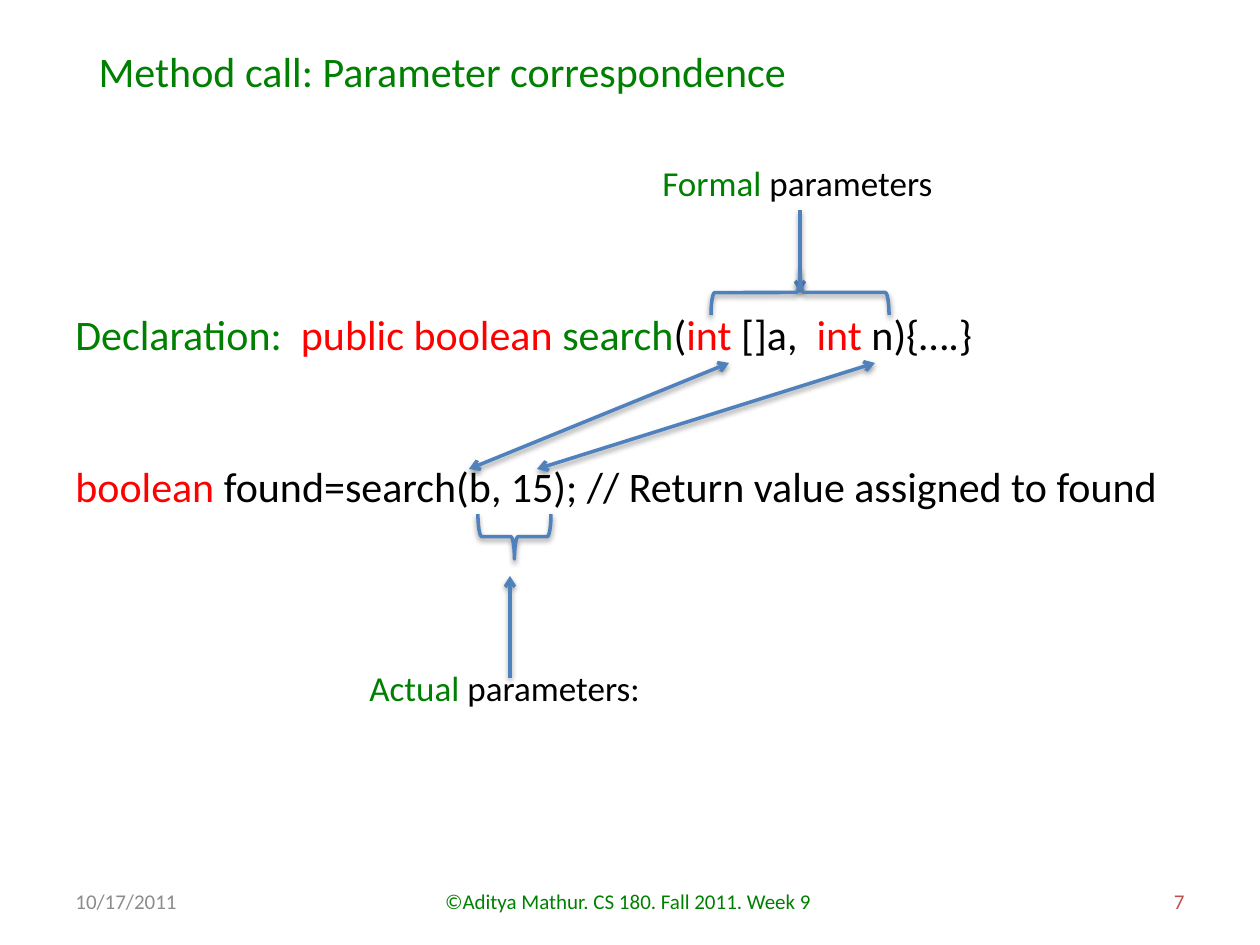
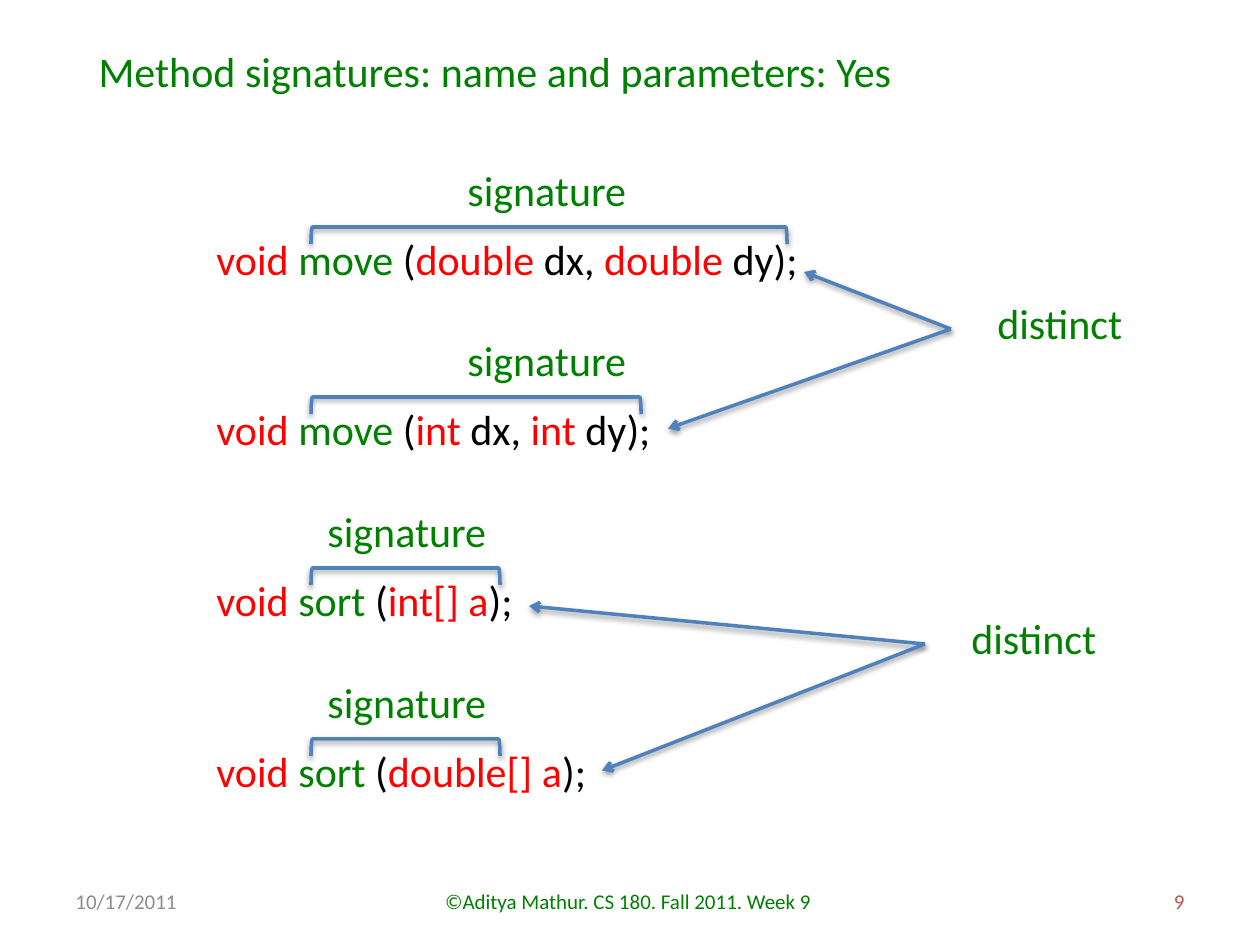
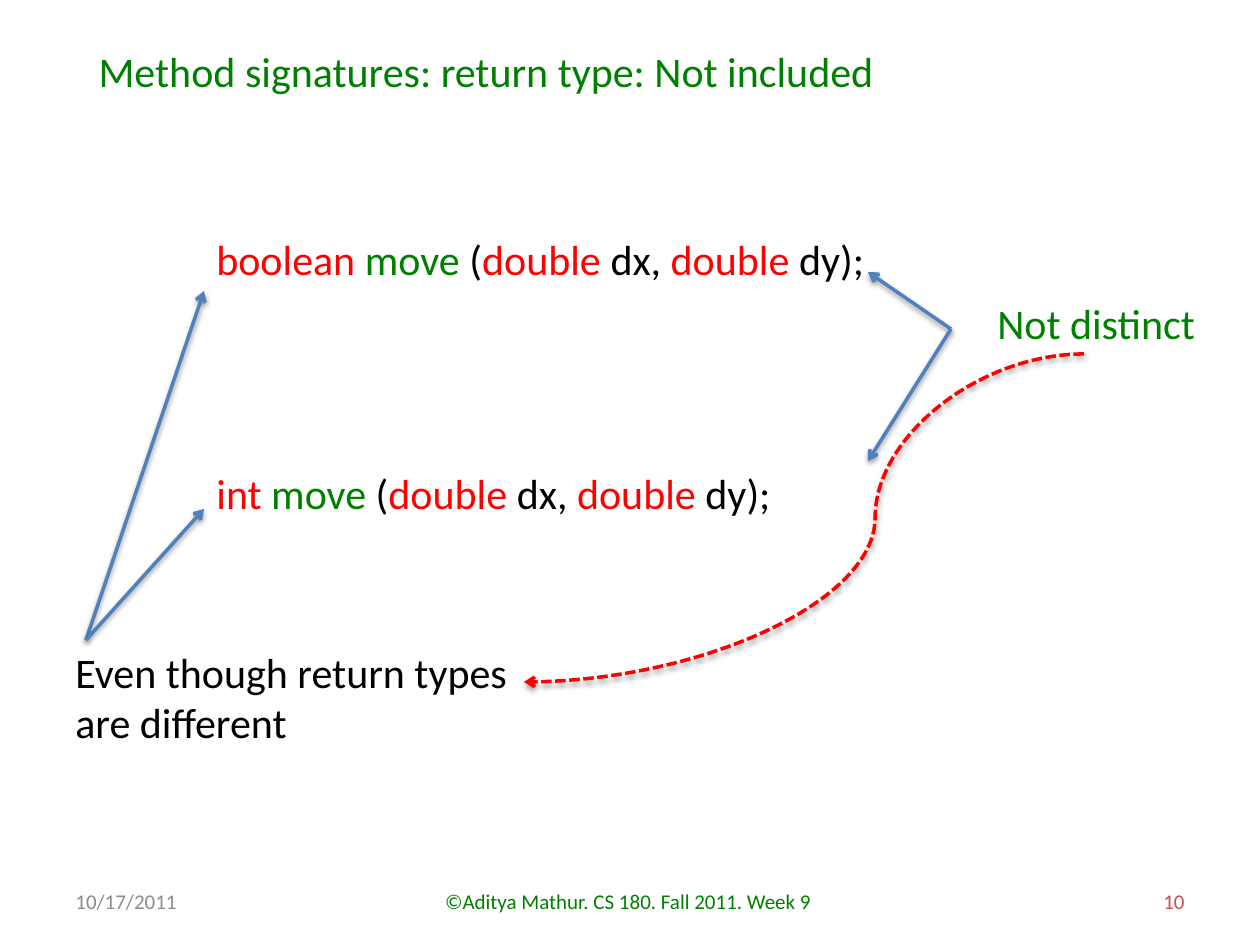
from lxml.etree import SubElement
from pptx import Presentation
from pptx.dml.color import RGBColor
from pptx.enum.dml import MSO_LINE
from pptx.enum.shapes import MSO_CONNECTOR, MSO_SHAPE
from pptx.enum.text import MSO_ANCHOR, MSO_AUTO_SIZE, PP_ALIGN
from pptx.oxml.ns import qn
from pptx.util import Emu, Pt

EMU_PER_PX = 914400 / 126
FONT = "Calibri"
GREEN, RED, BLACK = "008000", "FF0000", "000000"
GREY, BRICK, BLUE = "8C8C8C", "C0504D", "4F81BD"
TITLE_BOX = (86, 39, 901, 63)
FOOTER_TOP, FOOTER_HEIGHT = 876, 50
CODE_LEFT = 204
LINE_HEIGHT = 63
TOP, LEFT, BOTTOM, RIGHT = 0, 1, 2, 3


def px(length):
    """Turn pixels into EMU."""
    return Emu(round(length * EMU_PER_PX))


def rgb(color):
    """Turn a hex string into a colour."""
    return RGBColor.from_string(color)


def write(frame, paragraphs, size=24, align=PP_ALIGN.LEFT, anchor=MSO_ANCHOR.TOP,
          wrap=True, grow=True, gap=0):
    """Fill a text frame with paragraphs, each a list of (text, colour) runs."""
    frame.word_wrap = wrap
    frame.auto_size = MSO_AUTO_SIZE.SHAPE_TO_FIT_TEXT if grow else MSO_AUTO_SIZE.NONE
    frame.vertical_anchor = anchor
    for index, runs in enumerate(paragraphs):
        paragraph = frame.add_paragraph() if index else frame.paragraphs[0]
        paragraph.alignment = align
        if index and gap:
            paragraph.space_before = Pt(gap)
        for text, color in runs:
            run = paragraph.add_run()
            run.text = text
            run.font.name = FONT
            run.font.size = Pt(size)
            run.font.color.rgb = rgb(color)


def add_text(slide, box, *paragraphs, **style):
    """Add a text box at the given left, top, width and height."""
    label = slide.shapes.add_textbox(*map(px, box))
    write(label.text_frame, paragraphs, **style)
    return label


def add_shadow(shape):
    """Give a shape or connector the soft shadow below it."""
    effects = SubElement(shape._element.spPr, qn("a:effectLst"))
    shadow = SubElement(effects, qn("a:outerShdw"), blurRad="40000", dist="20000",
                        dir="5400000", rotWithShape="0")
    shade = SubElement(shadow, qn("a:srgbClr"), val=BLACK)
    SubElement(shade, qn("a:alpha"), val="38000")


def add_arrow(slide, start, end, kind=MSO_CONNECTOR.STRAIGHT, color=BLUE,
              dash=None, double=False, bend=None):
    """Add an arrow from start to end, with a head at both ends if double."""
    arrow = slide.shapes.add_connector(kind, *map(px, (*start, *end)))
    arrow.line.color.rgb = rgb(color)
    arrow.line.width = Pt(2)
    if dash:
        arrow.line.dash_style = dash
    outline = arrow.line._get_or_add_ln()
    if double:
        SubElement(outline, qn("a:headEnd"), type="arrow")
    SubElement(outline, qn("a:tailEnd"), type="arrow")
    if bend:
        guides = arrow._element.spPr.find(qn("a:prstGeom")).get_or_add_avLst()
        SubElement(guides, qn("a:gd"), name="adj1", fmla=f"val {bend}")
    add_shadow(arrow)
    return arrow


def add_bracket(slide, preset, box, rotation=90):
    """Lay a left bracket or brace on its side so that it covers the box."""
    left, top, width, height = box
    shift = (width - height) / 2
    bracket = slide.shapes.add_shape(preset, px(left + shift), px(top - shift),
                                     px(height), px(width))
    bracket.rotation = rotation
    bracket.fill.background()
    bracket.line.color.rgb = rgb(BLUE)
    bracket.line.width = Pt(2)
    add_shadow(bracket)


def move_call(returned, taken):
    """Return the runs of a move declaration."""
    return [(f"{returned} ", RED), ("move ", GREEN), ("(", BLACK), (f"{taken} ", RED),
            ("dx, ", BLACK), (f"{taken} ", RED), ("dy);", BLACK)]


def sort_call(taken):
    """Return the runs of a sort declaration."""
    return [("void ", RED), ("sort ", GREEN), ("(", BLACK), (f"{taken}[] a", RED), (");", BLACK)]


def add_slide(deck, title, number):
    """Add a slide with its title and footer."""
    slide = deck.slides.add_slide(deck.slide_layouts[5])
    heading = slide.shapes.title
    heading.left, heading.top, heading.width, heading.height = map(px, TITLE_BOX)
    write(heading.text_frame, [[(title, GREEN)]])
    footers = (
        (63, 294, "10/17/2011", GREY, PP_ALIGN.LEFT),
        (431, 399, "©Aditya Mathur. CS 180. Fall 2011. Week 9 ", GREEN, PP_ALIGN.CENTER),
        (903, 294, str(number), BRICK, PP_ALIGN.RIGHT),
    )
    for left, width, text, color, align in footers:
        add_text(slide, (left, FOOTER_TOP, width, FOOTER_HEIGHT), [(text, color)],
                 size=12, align=align, anchor=MSO_ANCHOR.MIDDLE, grow=False)
    return slide


def build_correspondence(deck):
    """Show how formal and actual parameters correspond."""
    slide = add_slide(deck, "Method call: Parameter correspondence", 7)
    declaration = [("Declaration:  ", GREEN), ("public boolean ", RED), ("search", GREEN),
                   ("(", BLACK), ("int", RED), (" []a,  ", BLACK), ("int", RED),
                   (" n){….}", BLACK)]
    call = [("boolean ", RED),
            ("found=search(b, 15); // Return value assigned to found", BLACK)]
    add_text(slide, (63, 302, 1123, 217), declaration, call, gap=58)
    formal = add_text(slide, (650, 155, 300, 55),
                      [("Formal", GREEN), (" parameters", BLACK)], size=20, wrap=False)
    add_arrow(slide, (800, 210), (800, 292)).begin_connect(formal, BOTTOM)
    add_text(slide, (357, 660, 401, 55),
             [("Actual ", GREEN), ("parameters:", BLACK)], size=20)
    add_arrow(slide, (510, 678), (510, 576))
    for actual_x, formal_x in ((469, 729), (537, 875)):
        add_arrow(slide, (actual_x, 469), (formal_x, 363), double=True)
    add_bracket(slide, MSO_SHAPE.LEFT_BRACE, (478, 514, 73, 45), rotation=270)
    add_bracket(slide, MSO_SHAPE.LEFT_BRACE, (711, 270, 178, 45))


def build_distinct_signatures(deck):
    """Show pairs of methods that differ in their parameters."""
    slide = add_slide(deck, "Method signatures: name and parameters: Yes", 9)
    methods = (
        (move_call("void", "double"), 625, 476, 455),
        (move_call("void", "int"), 464, 330, 455),
        (sort_call("int"), 325, 189, 315),
        (sort_call("double"), 398, 189, 315),
    )
    declarations = []
    for row, (code, code_width, signature_width, label_left) in enumerate(methods):
        top = 227 + 512 * row // 3
        declarations.append(add_text(slide, (CODE_LEFT, top, code_width, LINE_HEIGHT),
                                     code, wrap=False))
        add_bracket(slide, MSO_SHAPE.LEFT_BRACKET, (311, top, signature_width, 17))
        add_text(slide, (label_left, top - 69, 185, LINE_HEIGHT),
                 [("signature", GREEN)], wrap=False)
    verdicts = (
        ((951, 329), (804, 272), (668, 429), declarations[1]),
        ((925, 644), (529, 606), (602, 770), declarations[3]),
    )
    for (x, y), first, second, lower_method in verdicts:
        add_text(slide, (x + 34, y - 38, 152, LINE_HEIGHT), [("distinct", GREEN)], wrap=False)
        add_arrow(slide, (x, y), first)
        add_arrow(slide, (x, y), second).end_connect(lower_method, RIGHT)


def build_return_types(deck):
    """Show that the return type is not part of the signature."""
    slide = add_slide(deck, "Method signatures: return type: Not included", 10)
    for returned, top, width in (("boolean", 227, 679), ("int", 461, 585)):
        add_text(slide, (CODE_LEFT, top, width, LINE_HEIGHT),
                 move_call(returned, "double"), wrap=False)
    add_text(slide, (985, 291, 226, LINE_HEIGHT), [("Not distinct", GREEN)], wrap=False)
    add_text(slide, (63, 640, 461, 115), [("Even though return types", BLACK)],
             [("are different", BLACK)], wrap=False)
    for verdict_end in ((868, 272), (868, 461)):
        add_arrow(slide, (951, 329), verdict_end)
    for type_end in ((204, 291), (204, 509)):
        add_arrow(slide, (86, 640), type_end)
    add_arrow(slide, (1084, 354), (524, 682), kind=MSO_CONNECTOR.CURVE, color=RED,
              dash=MSO_LINE.SQUARE_DOT, bend=37300)


def main():
    """Build the three slides and save them."""
    deck = Presentation()
    deck.slide_width, deck.slide_height = px(1260), px(945)
    build_correspondence(deck)
    build_distinct_signatures(deck)
    build_return_types(deck)
    deck.save("out.pptx")


if __name__ == "__main__":
    main()
